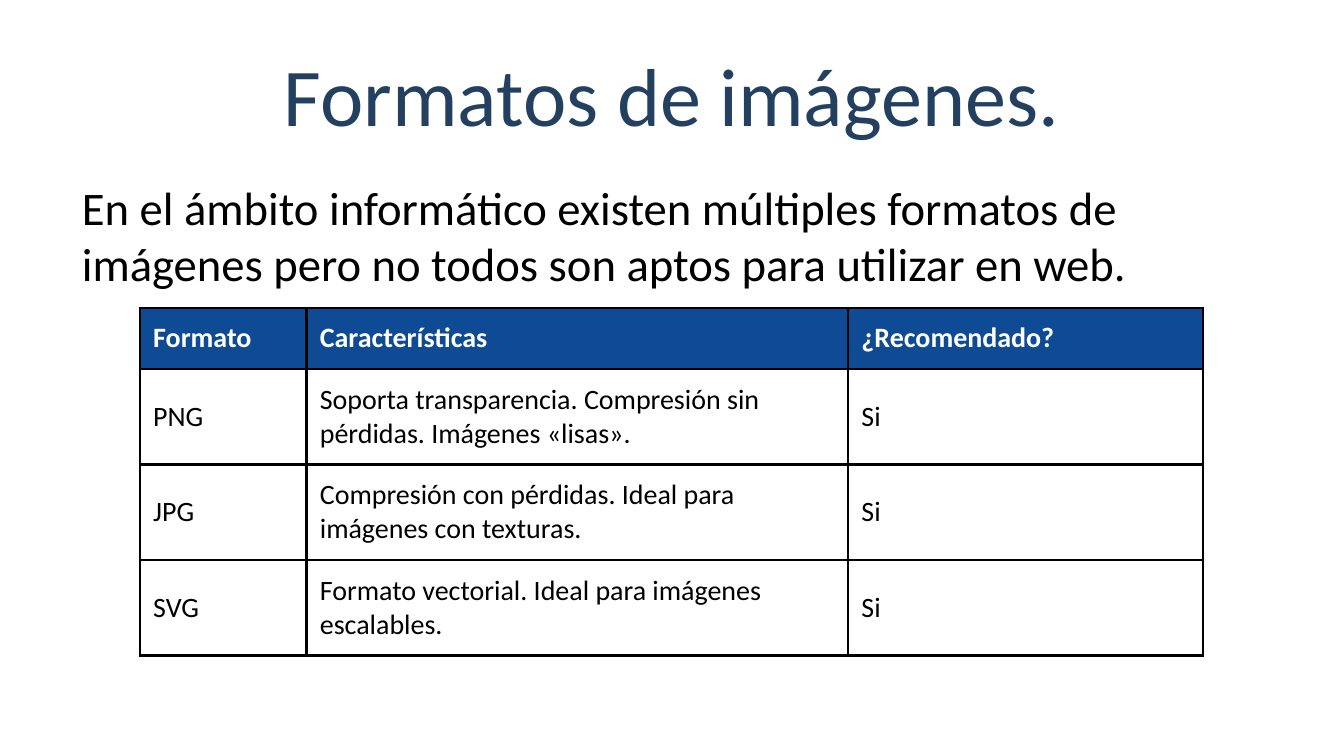
import pptx
import pptx.util
import pptx.dml.color
import pptx.enum.text
import pptx.oxml
import pptx.oxml.ns
from pptx.util import Inches


def style(paragraph, size, color, bold=False):
    paragraph.font.name = "Calibri"
    paragraph.font.size = pptx.util.Pt(size)
    paragraph.font.bold = bold
    paragraph.font.color.rgb = pptx.dml.color.RGBColor.from_string(color)


def add_borders(cell, color, width):
    properties = cell._tc.get_or_add_tcPr()
    for position, side in enumerate(("lnL", "lnR", "lnT", "lnB")):
        border = pptx.oxml.parse_xml(
            f'<a:{side} {pptx.oxml.ns.nsdecls("a")} w="{pptx.util.Pt(width)}">'
            f'<a:solidFill><a:srgbClr val="{color}"/></a:solidFill></a:{side}>'
        )
        properties.insert(position, border)


presentation = pptx.Presentation()
presentation.slide_width = Inches(10)
presentation.slide_height = Inches(10 * 9 / 16)
slide = presentation.slides.add_slide(presentation.slide_layouts[1])

title = slide.shapes.title
title.left, title.top, title.width, title.height = map(Inches, (0.5, 0.23, 9, 0.94))
title.text_frame.text = "Formatos de imágenes."
title.text_frame.auto_size = pptx.enum.text.MSO_AUTO_SIZE.NONE
title.text_frame.vertical_anchor = pptx.enum.text.MSO_ANCHOR.MIDDLE
title.text_frame.paragraphs[0].alignment = pptx.enum.text.PP_ALIGN.CENTER
style(title.text_frame.paragraphs[0], 44, "244061")

intro = slide.placeholders[1]
intro.left, intro.top, intro.width, intro.height = map(Inches, (0.51, 1.28, 9, 1.01))
intro.text_frame.text = (
    "En el ámbito informático existen múltiples formatos de imágenes "
    "pero no todos son aptos para utilizar en web."
)
intro.text_frame.auto_size = pptx.enum.text.MSO_AUTO_SIZE.NONE
intro_paragraph = intro.text_frame.paragraphs[0]
intro_paragraph.space_before = pptx.util.Pt(3.6)
style(intro_paragraph, 25, "000000")
intro_properties = intro_paragraph._p.get_or_add_pPr()
intro_properties.set("marL", "0")
intro_properties.set("indent", "0")
intro_properties.insert_element_before(
    pptx.oxml.parse_xml(f'<a:buNone {pptx.oxml.ns.nsdecls("a")}/>'),
    "a:tabLst", "a:defRPr", "a:extLst",
)

formats = [
    ("Formato", "Características", "¿Recomendado?"),
    ("PNG", "Soporta transparencia. Compresión sin pérdidas. Imágenes «lisas».", "Si"),
    ("JPG", "Compresión con pérdidas. Ideal para imágenes con texturas.", "Si"),
    ("SVG", "Formato vectorial. Ideal para imágenes escalables.", "Si"),
]
column_widths = (1.24, 4.03, 2.64)
row_height = 0.42
comparison = slide.shapes.add_table(
    len(formats), len(column_widths), Inches(1.04), Inches(2.29),
    Inches(sum(column_widths)), Inches(row_height * len(formats)),
).table
comparison.horz_banding = False
for column, width in zip(comparison.columns, column_widths):
    column.width = Inches(width)

for row_index, entries in enumerate(formats):
    comparison.rows[row_index].height = Inches(row_height)
    is_header = row_index == 0
    for column_index, entry in enumerate(entries):
        cell = comparison.cell(row_index, column_index)
        cell.text = entry
        cell.vertical_anchor = pptx.enum.text.MSO_ANCHOR.MIDDLE
        cell.margin_left = cell.margin_right = Inches(0.1)
        cell.margin_top = cell.margin_bottom = Inches(0.1)
        style(cell.text_frame.paragraphs[0], 15, "FFFFFF" if is_header else "000000", is_header)
        if is_header:
            cell.fill.solid()
            cell.fill.fore_color.rgb = pptx.dml.color.RGBColor.from_string("0F4B95")
        else:
            cell.fill.background()
        add_borders(cell, "000000", 1.5)

presentation.save("out.pptx")
